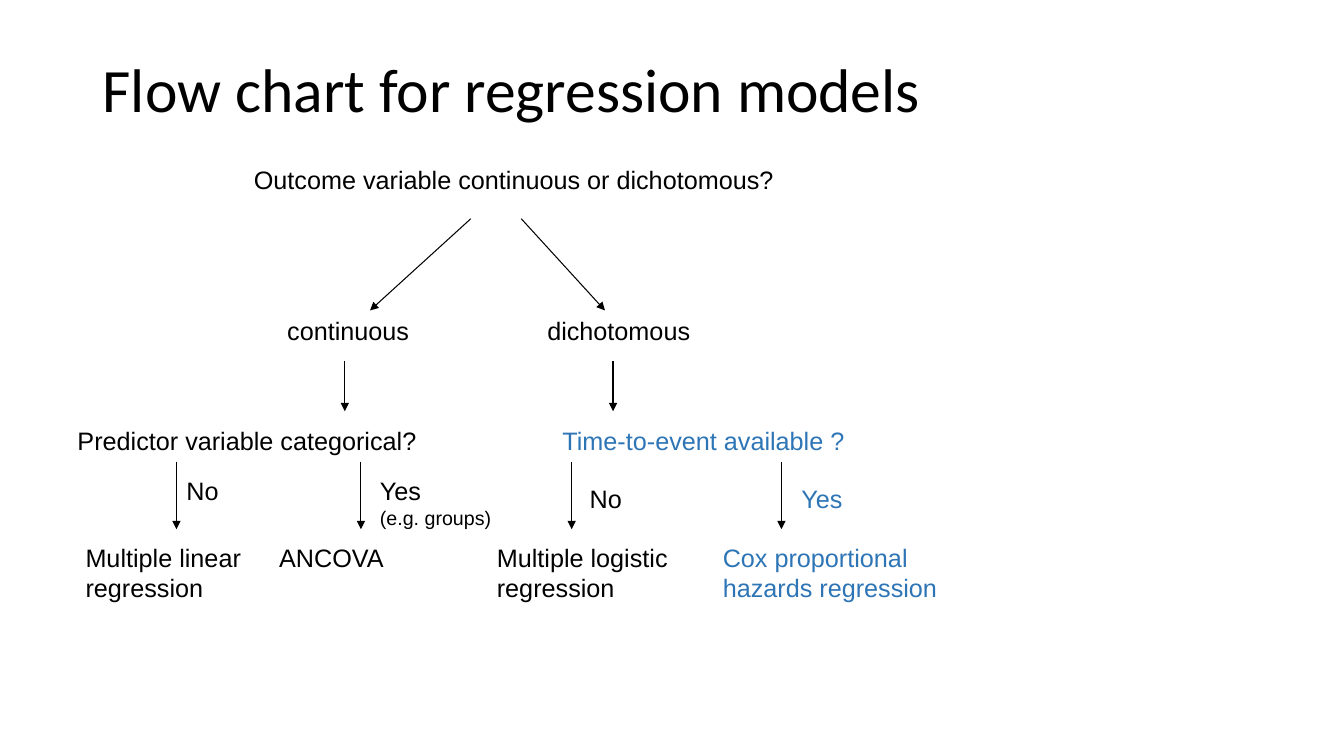
"""Build a one-slide flow chart for choosing a regression model."""
from lxml.etree import SubElement
from pptx import Presentation
from pptx.dml.color import RGBColor
from pptx.enum.shapes import MSO_CONNECTOR
from pptx.enum.text import MSO_ANCHOR
from pptx.oxml.ns import qn
from pptx.util import Inches, Pt

BLACK = RGBColor(0x00, 0x00, 0x00)
BLUE = RGBColor(0x2E, 0x75, 0xB6)
INSET = 0.1

TITLE = "Flow chart for regression models"
OUTCOME_Y, KIND_Y, PREDICTOR_Y, MODEL_Y = 1.58, 3.08, 4.17, 5.33

# fmt: off
LABELS = [
    (["Outcome variable continuous or dichotomous?"], 2.42, OUTCOME_Y, 5.83, 0.4, BLACK, False),
    (["continuous"], 2.75, KIND_Y, 1.55, 0.4, BLACK, False),
    (["dichotomous"], 5.33, KIND_Y, 1.77, 0.4, BLACK, False),
    (["Predictor variable categorical?"], 0.67, PREDICTOR_Y, 3.85, 0.4, BLACK, False),
    (["Time-to-event available ?"], 5.48, PREDICTOR_Y, 4.35, 0.4, BLUE, True),
    (["No"], 1.75, 4.67, 0.53, 0.4, BLACK, True),
    (["Yes", "(e.g. groups)"], 3.67, 4.67, 1.5, 0.63, BLACK, True),
    (["No"], 5.75, 4.75, 0.53, 0.4, BLACK, False),
    (["Yes"], 7.85, 4.75, 0.61, 0.4, BLUE, False),
    (["Multiple linear", "regression"], 0.75, MODEL_Y, 1.95, 0.7, BLACK, False),
    (["ANCOVA"], 2.67, MODEL_Y, 2.33, 0.4, BLACK, True),
    (["Multiple logistic", "regression"], 4.83, MODEL_Y, 2.17, 0.7, BLACK, True),
    (["Cox proportional", "hazards regression"], 7.07, MODEL_Y, 2.35, 0.71, BLUE, False),
]
# fmt: on
SMALL_PRINT = {"(e.g. groups)": 14}

ARROW_ROWS = [
    (2.17, 3.08, [(4.67, 3.67), (5.17, 6)]),
    (3.58, 4.08, [(3.42, 3.42), (6.08, 6.08)]),
    (4.58, 5.25, [(x, x) for x in (1.75, 3.58, 5.67, 7.75)]),
]


def add_text(slide, lines, box, color, wrap, font="Arial", size=18):
    frame = slide.shapes.add_textbox(*map(Inches, box)).text_frame
    frame.word_wrap = wrap
    frame.margin_left = frame.margin_right = Inches(INSET)
    for index, line in enumerate(lines):
        paragraph = frame.paragraphs[0] if index == 0 else frame.add_paragraph()
        run = paragraph.add_run()
        run.text = line
        run.font.name = font
        run.font.size = Pt(SMALL_PRINT.get(line, size))
        run.font.color.rgb = color
    return frame


def add_arrow(slide, start, end):
    arrow = slide.shapes.add_connector(
        MSO_CONNECTOR.STRAIGHT, *map(Inches, (*start, *end)))
    arrow.line.color.rgb = BLACK
    arrow.line.width = Pt(0.75)
    SubElement(arrow.line._get_or_add_ln(), qn("a:tailEnd"), type="triangle")
    SubElement(arrow._element.spPr, qn("a:effectLst"))


def main():
    deck = Presentation()
    deck.slide_width, deck.slide_height = Inches(13.33), Inches(7.5)
    slide = deck.slides.add_slide(deck.slide_layouts[6])

    title = add_text(slide, [TITLE], (0.92, 0.19, 11.5, 1.45), BLACK, True, "Calibri", 44)
    title.vertical_anchor = MSO_ANCHOR.MIDDLE
    title.paragraphs[0].line_spacing = 0.9

    for lines, left, top, width, height, color, wrap in LABELS:
        add_text(slide, lines, (left, top, width, height), color, wrap)
    for top, bottom, spans in ARROW_ROWS:
        for start_x, end_x in spans:
            add_arrow(slide, (start_x, top), (end_x, bottom))

    deck.save("out.pptx")


if __name__ == "__main__":
    main()
